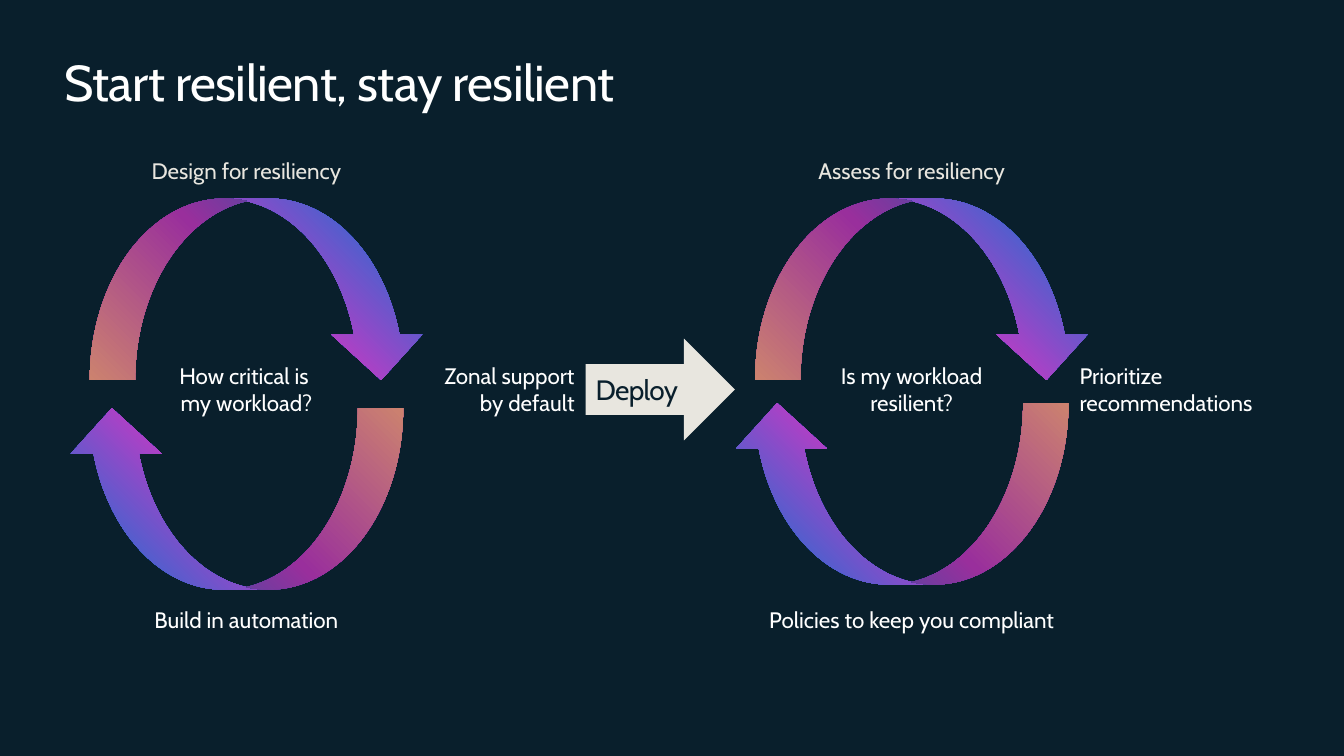
import copy

import pptx
import pptx.dml.color
import pptx.enum.shapes
import pptx.enum.text
import pptx.oxml.ns
import pptx.util

SHAPES = pptx.enum.shapes.MSO_SHAPE
ALIGN = pptx.enum.text.PP_ALIGN
ANCHOR = pptx.enum.text.MSO_ANCHOR
AUTO_SIZE = pptx.enum.text.MSO_AUTO_SIZE

# Grid of 100 columns by 100 rows
WIDTH, HEIGHT = pptx.util.Inches(13.33), pptx.util.Inches(7.5)
COLUMN, ROW = WIDTH / 100, HEIGHT / 100

NAVY, WHITE, SAND = "091F2C", "FFFFFF", "E8E6DF"
GRADIENT = ["0078D4", "C03BC4", "FFA38B"]

CYCLE_WIDTH = 26.78
ARROW_WIDTH, ARROW_HEIGHT = 25.05, 24
LINE_HEIGHT = 3.6


def color(hex_code):
    return pptx.dml.color.RGBColor.from_string(hex_code)


def place(left, top, width, height):
    return [round(left * COLUMN), round(top * ROW),
            round(width * COLUMN), round(height * ROW)]


def write(frame, text, size=16, fill=WHITE, align=ALIGN.LEFT, anchor=ANCHOR.TOP,
          spacing=0, after=0, inset=0, wrap=True):
    frame.margin_top = frame.margin_right = frame.margin_bottom = 0
    frame.margin_left = pptx.util.Inches(inset)
    frame.word_wrap, frame.vertical_anchor = wrap, anchor
    frame.text = text
    for para in frame.paragraphs:
        para.alignment = align
        if after:
            para.space_after = pptx.util.Pt(after)
        for span in para.runs:
            span.font.name, span.font.size = "Cabin", pptx.util.Pt(size)
            span.font.color.rgb = color(fill)
            if spacing:
                span._r.get_or_add_rPr().set("spc", str(round(spacing * 100)))


def add_text(page, area, text, **style):
    box = page.shapes.add_textbox(*place(*area))
    write(box.text_frame, text, **style)
    box.text_frame.auto_size = AUTO_SIZE.SHAPE_TO_FIT_TEXT


def add_shape(page, kind, area):
    shape = page.shapes.add_shape(kind, *place(*area))
    shape.shadow.inherit = False
    shape.line.fill.background()
    return shape


def add_curved_arrow(page, left, top, rotation):
    arrow = add_shape(page, SHAPES.CURVED_DOWN_ARROW,
                      (left, top, ARROW_WIDTH, ARROW_HEIGHT))
    arrow.rotation = rotation
    arrow.fill.gradient()
    arrow.fill.gradient_angle = 225
    stops = arrow._element.spPr.find(".//" + pptx.oxml.ns.qn("a:gsLst"))
    stops.append(copy.deepcopy(stops[-1]))
    for index, stop in enumerate(arrow.fill.gradient_stops):
        stop.color.rgb = color(GRADIENT[index])
        stop.position = index / (len(GRADIENT) - 1)


def add_cycle(page, left, top, lower_top, captions, note, note_left, note_width,
              note_align):
    # Two curved arrows chasing each other
    add_curved_arrow(page, left + CYCLE_WIDTH - ARROW_WIDTH, top + 5.47, 0)
    add_curved_arrow(page, left, top + lower_top, 180)

    # Captions above, inside and below, centred on the cycle
    rows = [(0, 1, SAND), (27.07, 2, WHITE), (59.33, 1, WHITE)]
    for (offset, lines, fill), (text, width) in zip(rows, captions):
        area = (left + (CYCLE_WIDTH - width) / 2, top + offset,
                width, lines * LINE_HEIGHT)
        add_text(page, area, text, fill=fill, align=ALIGN.CENTER)

    # Note to the right of the cycle
    area = (left + note_left, top + 27.07, note_width, 2 * LINE_HEIGHT)
    add_text(page, area, note, align=note_align, wrap=False)


def add_deploy_arrow(page, area):
    arrow = add_shape(page, SHAPES.RIGHT_ARROW, area)
    arrow.fill.solid()
    arrow.fill.fore_color.rgb = color(SAND)
    write(arrow.text_frame, "Deploy", size=20, fill=NAVY, anchor=ANCHOR.MIDDLE,
          spacing=-0.5, after=9, inset=0.1)


def main():
    deck = pptx.Presentation()
    deck.slide_width, deck.slide_height = WIDTH, HEIGHT
    page = deck.slides.add_slide(deck.slide_layouts[6])
    page.background.fill.solid()
    page.background.fill.fore_color.rgb = color(NAVY)

    add_text(page, (4.8, 6.67, 90.4, 8.13), "Start resilient, stay resilient",
             size=36, anchor=ANCHOR.MIDDLE, spacing=-0.4)

    add_cycle(page, 4.95, 20.8, 33.2,
              [("Design for resiliency", 20.78),
               ("How critical is \vmy workload?", 17.03),
               ("Build in automation", 23.93)],
              "Zonal support \nby default ", 26.93, 11.25, ALIGN.RIGHT)
    add_deploy_arrow(page, (43.58, 44.8, 11.1, 13.47))
    add_cycle(page, 54.45, 20.8, 32.53,
              [("Assess for resiliency", 20.33),
               ("Is my workload resilient?", 17.03),
               ("Policies to keep you compliant", 31.65)],
              "Prioritize\nrecommendations", 25.88, 13.88, ALIGN.LEFT)

    deck.save("out.pptx")


if __name__ == "__main__":
    main()
